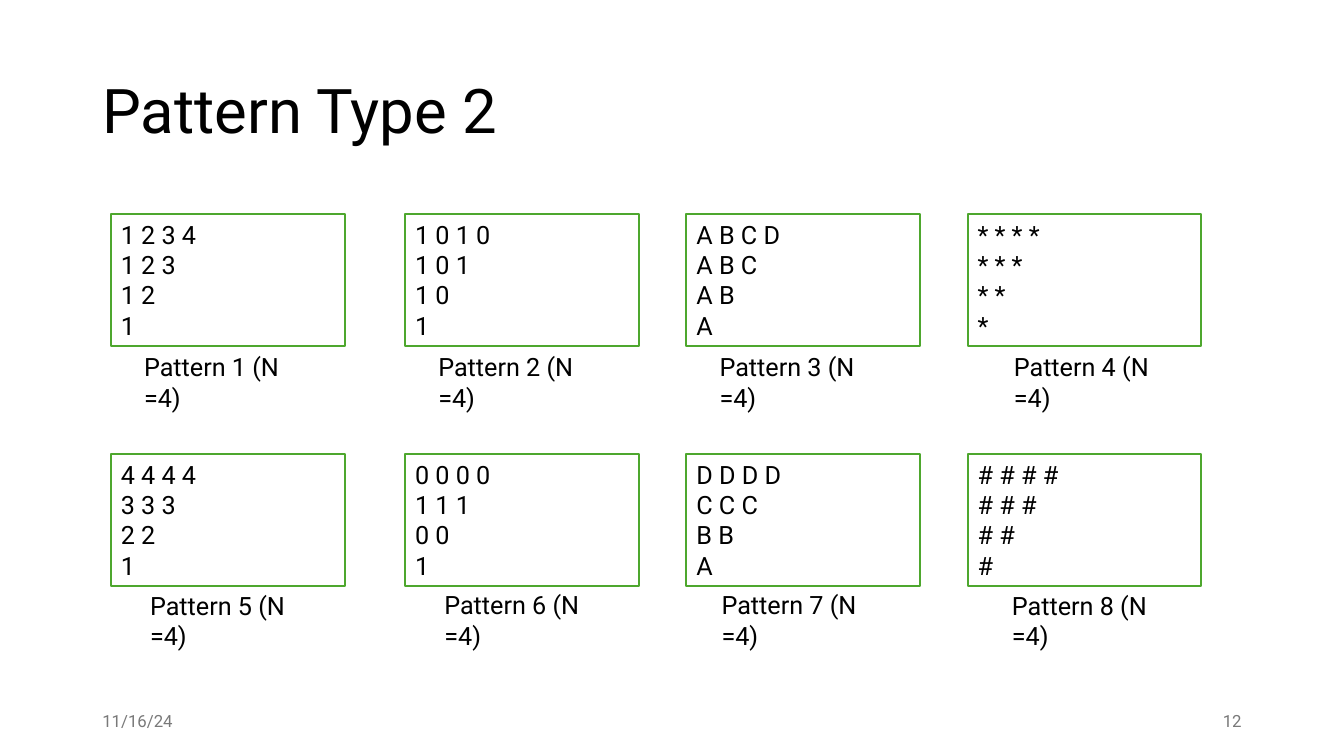
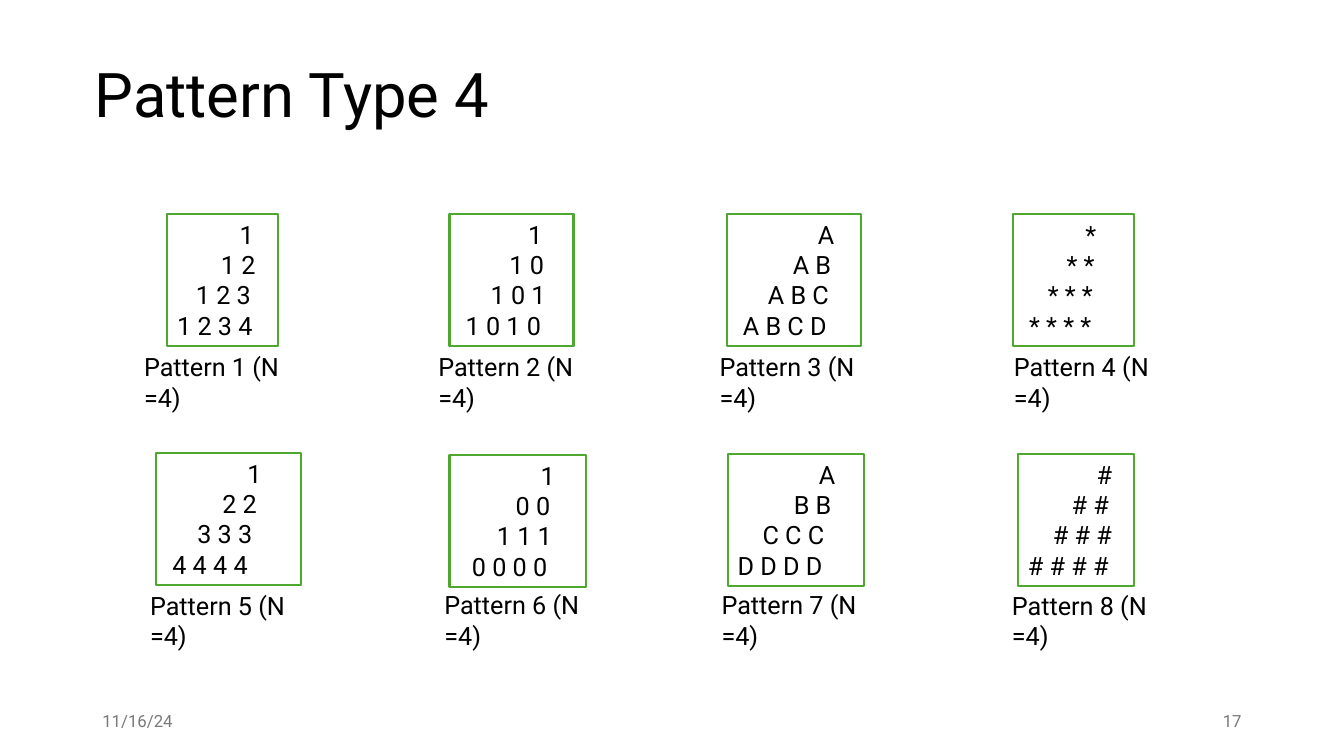
"""Build two slides of number, letter and symbol triangle patterns."""
from dataclasses import dataclass

from pptx import Presentation
from pptx.dml.color import RGBColor
from pptx.enum.shapes import MSO_SHAPE as Shape
from pptx.enum.text import MSO_ANCHOR as Anchor, PP_ALIGN as Align
from pptx.util import Pt


@dataclass(frozen=True)
class Theme:
    font: str = "Roboto"
    ink: RGBColor = RGBColor(0x00, 0x00, 0x00)
    muted: RGBColor = RGBColor(0x79, 0x79, 0x79)
    paper: RGBColor = RGBColor(0xFF, 0xFF, 0xFF)
    border: RGBColor = RGBColor(0x4E, 0xA7, 0x2E)
    border_width: float = 1.5
    title_size: int = 44
    body_size: int = 18
    footer_size: int = 12
    indent_step: float = 4.46


THEME = Theme()
DATE = "11/16/24"
PREFIX_WORDS = ("1234", "1010", "ABCD", "****")
REPEAT_WORDS = ("4321", "0101", "DCBA", "####")
CAPTION_SPOTS = (
    (95.8, 247.6), (306, 247.6), (506.9, 247.6), (717.1, 247.6),
    (100.1, 418.3), (310.3, 417.6), (508.3, 417.6), (715.7, 418.3),
)
FLUSH_LEFTS = (79.2, 289.4, 490.3, 691.2)
FLUSH_TOPS = (152.6, 324)
FLUSH_WIDTH = 167
CARD_HEIGHT = 94.5
STEPPED_CARDS = (
    (119.5, 152.6, 79.2, (10, 7, 3, 0)),
    (321.1, 152.6, 88.6, (11, 8, 5, 1)),
    (519.1, 152.6, 95.8, (13, 9, 5, 1)),
    (723.6, 152.6, 86.4, (10, 7, 4, 1)),
    (111.6, 323.3, 103.7, (13, 9, 5, 1)),
    (321.1, 324.7, 97.2, (13, 9, 6, 2)),
    (519.8, 324, 97.2, (13, 9, 4, 0)),
    (727.2, 324, 82.8, (11, 7, 4, 0)),
)


def write(frame, text, *, size, color=THEME.ink, align=Align.LEFT,
          anchor=Anchor.TOP, spacing=1.0, indents=()):
    """Fill a text frame, one paragraph per line, with optional indents."""
    frame.word_wrap = True
    frame.vertical_anchor = anchor
    for index, line in enumerate(text.split("\n")):
        para = frame.add_paragraph() if index else frame.paragraphs[0]
        para.alignment = align
        para.line_spacing = spacing
        if indents:
            margin = Pt(indents[index] * THEME.indent_step)
            para._p.get_or_add_pPr().set("marL", str(int(margin)))
        span = para.add_run()
        span.text = line
        span.font.name = THEME.font
        span.font.size = Pt(size)
        span.font.color.rgb = color


class Slides:
    """Hold the deck, its theme and the page being drawn."""

    def __init__(self, theme):
        self.theme = theme
        self.deck = Presentation()
        self.deck.slide_width, self.deck.slide_height = Pt(960), Pt(540)
        self.page = None

    def add_page(self, title, left, top, number):
        """Start a page with its title, date and number."""
        self.page = self.deck.slides.add_slide(self.deck.slide_layouts[6])
        self.label(title, left, top, 828, 104.4, size=self.theme.title_size,
                   anchor=Anchor.MIDDLE, spacing=0.9)
        footer = dict(size=self.theme.footer_size, color=self.theme.muted,
                      anchor=Anchor.MIDDLE)
        self.label(DATE, 66, 500.5, 216, 28.8, **footer)
        self.label(str(number), 678, 500.5, 216, 28.8, align=Align.RIGHT, **footer)

    def label(self, text, left, top, width, height, **style):
        """Add a text box."""
        box = self.page.shapes.add_textbox(Pt(left), Pt(top), Pt(width), Pt(height))
        write(box.text_frame, text, **style)

    def card(self, lines, left, top, width, indents=()):
        """Add a bordered card showing one pattern."""
        box = self.page.shapes.add_shape(
            Shape.RECTANGLE, Pt(left), Pt(top), Pt(width), Pt(CARD_HEIGHT))
        box.shadow.inherit = False
        box.fill.solid()
        box.fill.fore_color.rgb = self.theme.paper
        box.line.color.rgb = self.theme.border
        box.line.width = Pt(self.theme.border_width)
        write(box.text_frame, "\n".join(lines), size=self.theme.body_size,
              anchor=Anchor.MIDDLE, indents=indents)

    def captions(self):
        """Number the eight patterns."""
        for number, (left, top) in enumerate(CAPTION_SPOTS, 1):
            self.label(f"Pattern {number} (N =4)", left, top, 134.6, 28.8,
                       size=self.theme.body_size)


def triangles():
    """Return the eight patterns, each from its longest line to its shortest."""
    prefixes = [[" ".join(word[:count]) for count in range(len(word), 0, -1)]
                for word in PREFIX_WORDS]
    repeats = [[" ".join(sign * (len(word) - row)) for row, sign in enumerate(word)]
               for word in REPEAT_WORDS]
    return prefixes + repeats


def main():
    """Draw both pages and save the deck."""
    slides = Slides(THEME)
    patterns = triangles()

    slides.add_page("Pattern Type 2", 66, 28.8, 12)
    for index, lines in enumerate(patterns):
        row, column = divmod(index, len(FLUSH_LEFTS))
        slides.card(lines, FLUSH_LEFTS[column], FLUSH_TOPS[row], FLUSH_WIDTH)
    slides.captions()

    slides.add_page("Pattern Type 4", 60.5, 17.3, 17)
    for lines, (left, top, width, indents) in zip(patterns, STEPPED_CARDS):
        slides.card(lines[::-1], left, top, width, indents)
    slides.captions()

    slides.deck.save("out.pptx")


if __name__ == "__main__":
    main()
